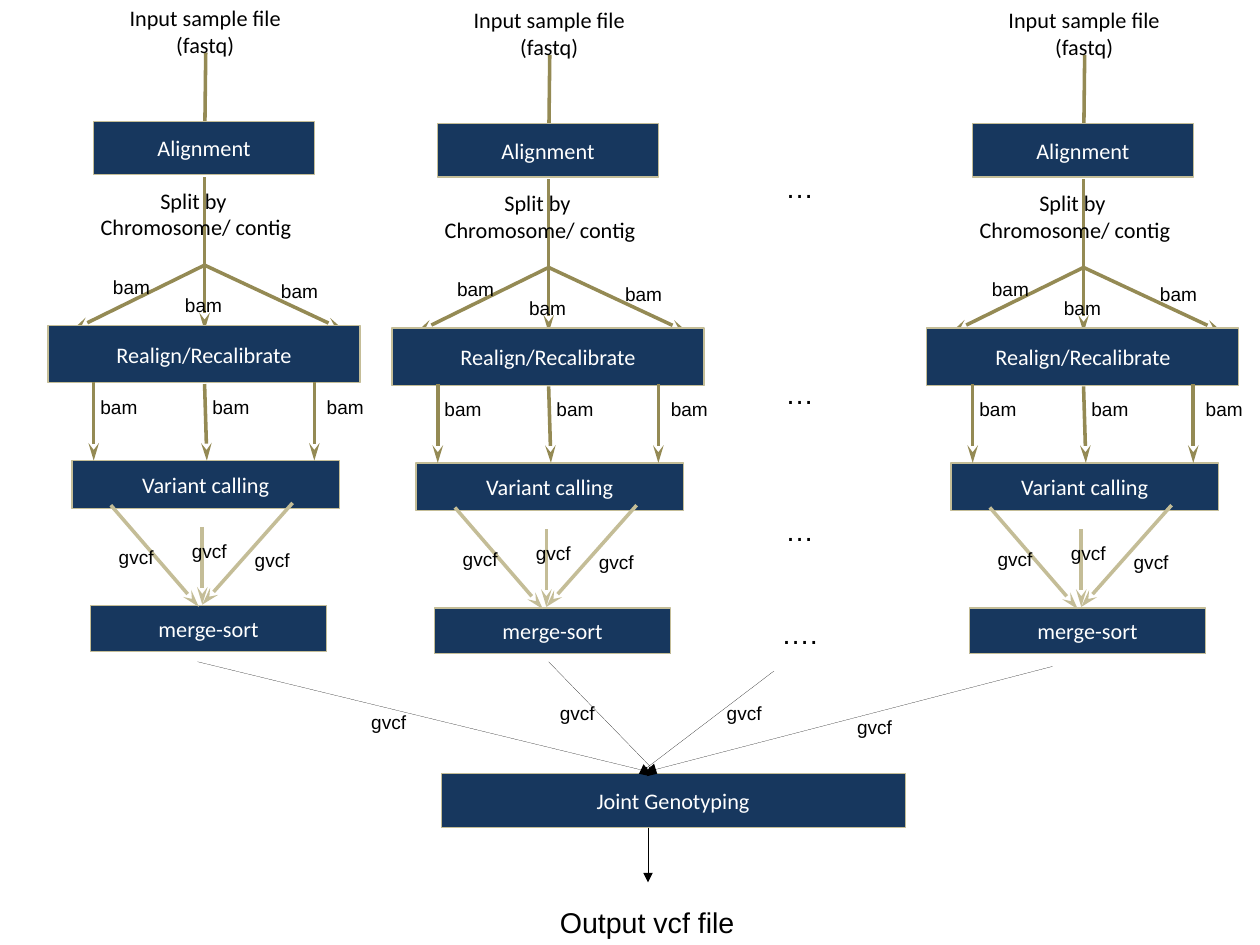
from lxml.etree import SubElement
from pptx import Presentation
from pptx.dml.color import RGBColor
from pptx.enum.shapes import MSO_CONNECTOR, MSO_SHAPE
from pptx.enum.text import MSO_ANCHOR as ANCHOR, PP_ALIGN as ALIGN
from pptx.oxml.ns import qn
from pptx.util import Cm, Pt

PX = 9144
NAVY = RGBColor(0x17, 0x37, 0x5E)
OLIVE = RGBColor(0x94, 0x8A, 0x54)
SAND = RGBColor(0xC4, 0xBD, 0x97)
BLACK = RGBColor(0, 0, 0)
WHITE = RGBColor(255, 255, 255)

SAMPLE_ORIGINS = [(5, 8), (306, 10), (774, 10)]
SPLIT_ARROWS = [((174, 224), (296, 281)), ((174, 147), (174, 281)),
                ((174, 224), (58, 281))]
INPUT_ARROW = ((175, 38), (174, 126))
REALIGN_ARROWS = [((77, 326), (77, 395)), ((174, 328), (176, 395)),
                  ((270, 326), (270, 395))]
MERGE_ARROWS = [((92, 434), (169, 523)), ((172, 453), (172, 521)),
                ((251, 432), (172, 521))]
STEPS = [("Alignment", (77, 98, 193, 47)),
         ("Realign/Recalibrate", (37, 277, 273, 50)),
         ("Variant calling", (58, 395, 234, 42)),
         ("merge-sort", (74, 522, 207, 40))]
HEADINGS = [("Input sample file (fastq)", (89, 0, 171, 38)),
            ("Split by \nChromosome/ contig", (56, 150, 221, 58))]
SAMPLE_FORMATS = {
    "bam": [(84, 228), (231, 232), (147, 244),
            (73, 333), (171, 333), (271, 333)],
    "gvcf": [(89, 464), (153, 459), (208, 467)],
}
JOINT_ARROWS = [((0, 4), (402, 102)), ((307, 4), (402, 102)),
                ((748, 8), (386, 102)), ((520, 0), (386, 102)),
                ((394, 149), (394, 197))]
JOINT_FORMATS = [(142, 42), (307, 34), (453, 34), (567, 46)]


def emu(*lengths):
    return [length * PX for length in lengths]


def shift(box, origin):
    return (box[0] + origin[0], box[1] + origin[1], *box[2:])


def write(frame, text, font, size, color, align=ALIGN.CENTER):
    frame.text = text
    for paragraph in frame.paragraphs:
        paragraph.alignment = align
        for run in paragraph.runs:
            run.font.name = font
            run.font.size = Pt(size)
            run.font.color.rgb = color


def add_step(slide, name, box):
    step = slide.shapes.add_shape(MSO_SHAPE.RECTANGLE, *emu(*box))
    step.shadow.inherit = False
    step.fill.solid()
    step.fill.fore_color.rgb = NAVY
    step.line.color.rgb = SAND
    step.line.width = Pt(0.75)
    step.text_frame.vertical_anchor = ANCHOR.MIDDLE
    write(step.text_frame, name, "Calibri", 14, WHITE)


def add_heading(slide, text, box):
    frame = slide.shapes.add_textbox(*emu(*box)).text_frame
    frame.word_wrap = True
    frame.vertical_anchor = ANCHOR.MIDDLE
    write(frame, text, "Calibri", 14, BLACK)


def add_label(slide, text, box, size=12):
    frame = slide.shapes.add_textbox(*emu(*box)).text_frame
    frame.word_wrap = True
    frame.margin_right = 0
    write(frame, text, "Arial", size, BLACK, ALIGN.LEFT)


def add_arrow(slide, ends, origin, color):
    start, end = (shift(point, origin) for point in ends)
    arrow = slide.shapes.add_connector(MSO_CONNECTOR.STRAIGHT, *emu(*start, *end))
    arrow.line.color.rgb = color
    element = arrow._element
    outline = element.spPr.find(qn("a:ln"))
    if color == BLACK:
        element.remove(element.find(qn("p:style")))
        SubElement(outline, qn("a:tailEnd"), type="triangle")
    else:
        arrow.line.width = Pt(2.25)
        SubElement(outline, qn("a:tailEnd"), type="stealth", len="lg")
    SubElement(element.spPr, qn("a:effectLst"))


def draw_sample(slide, origin):
    for ends in [INPUT_ARROW, *SPLIT_ARROWS]:
        add_arrow(slide, ends, origin, OLIVE)
    for name, box in STEPS:
        add_step(slide, name, shift(box, origin))
    for color, arrows in [(OLIVE, REALIGN_ARROWS), (SAND, MERGE_ARROWS)]:
        for ends in arrows:
            add_arrow(slide, ends, origin, color)
    for text, box in HEADINGS:
        add_heading(slide, text, shift(box, origin))
    for file_format, places in SAMPLE_FORMATS.items():
        for place in places:
            add_label(slide, file_format, shift((*place, 52, 29), origin))


def draw_joint_genotyping(slide, origin):
    add_step(slide, "Joint Genotyping", shift((213, 102, 406, 47), origin))
    for ends in JOINT_ARROWS:
        add_arrow(slide, ends, origin, BLACK)
    for place in JOINT_FORMATS:
        add_label(slide, "gvcf", shift((*place, 50, 29), origin))
    add_label(slide, "Output vcf file", shift((307, 212, 173, 38), origin), 18)


def draw_more_samples(slide, box):
    dots = slide.shapes.add_shape(MSO_SHAPE.RECTANGLE, *emu(*box))
    dots.shadow.inherit = False
    dots.fill.solid()
    dots.fill.fore_color.rgb = WHITE
    dots.line.fill.background()
    frame = dots.text_frame
    frame.word_wrap = False
    frame.vertical_anchor = ANCHOR.MIDDLE
    write(frame, "…\n…\n…\n….", "Arial", 18, BLACK)
    for paragraph, gap in zip(frame.paragraphs, (0, 108, 65, 43)):
        paragraph.space_before = Pt(gap)


def main():
    deck = Presentation()
    deck.slide_width = Cm(28)
    deck.slide_height = Cm(21)
    slide = deck.slides.add_slide(deck.slide_layouts[6])
    for origin in SAMPLE_ORIGINS:
        draw_sample(slide, origin)
    draw_joint_genotyping(slide, (173, 575))
    draw_more_samples(slide, (664, 130, 71, 457))
    deck.save("out.pptx")


if __name__ == "__main__":
    main()
